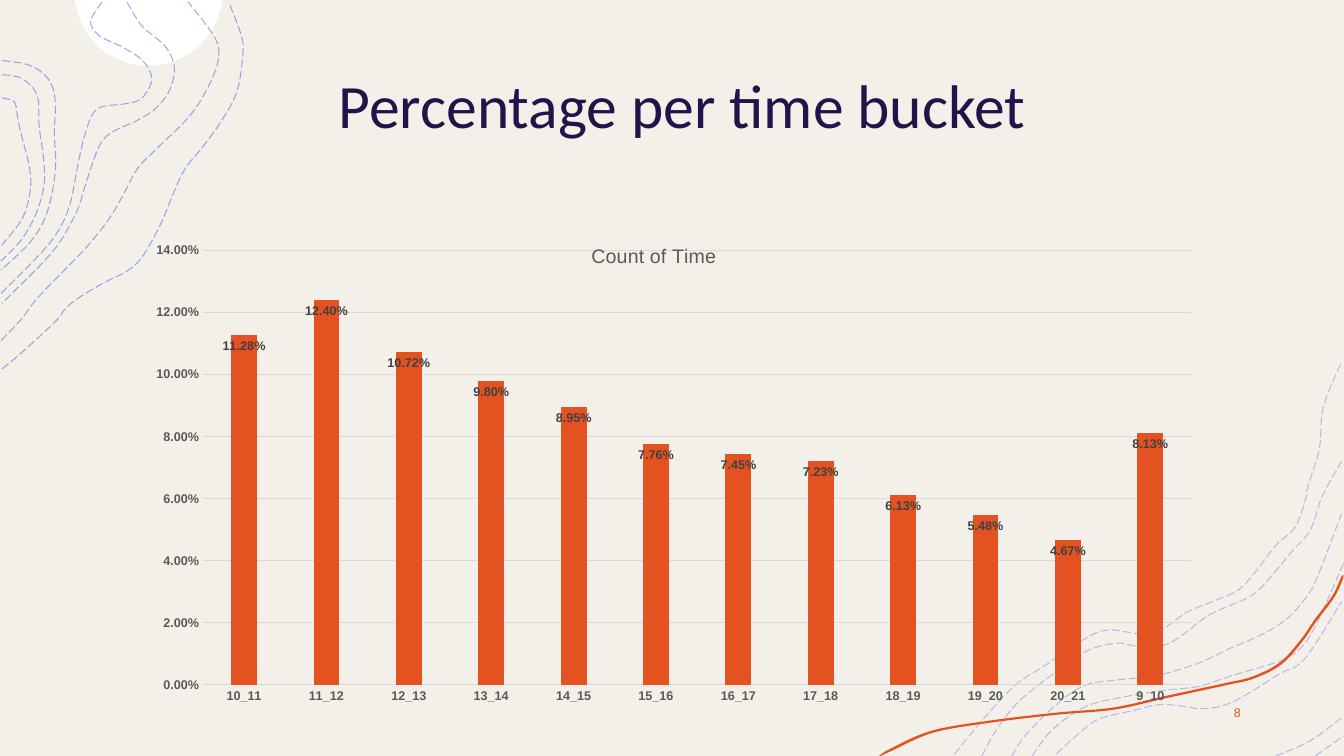
from math import cos, pi, sin

from lxml import etree
from pptx import Presentation
from pptx.chart.data import CategoryChartData
from pptx.dml.color import RGBColor
from pptx.enum.chart import XL_CHART_TYPE as ChartType
from pptx.enum.chart import XL_LABEL_POSITION as LabelPosition
from pptx.enum.chart import XL_TICK_MARK as TickMark
from pptx.enum.dml import MSO_LINE as Dash
from pptx.enum.text import MSO_ANCHOR as Anchor
from pptx.enum.text import MSO_AUTO_SIZE as AutoSize
from pptx.enum.text import PP_ALIGN as Align
from pptx.oxml.ns import qn
from pptx.util import Cm, Pt

COLORS = {
    "paper": "F3F0E9", "white": "FFFFFF", "contour": "4D4EE6",
    "orange": "E45221", "navy": "201449", "axis": "595959",
    "grid": "D9D9D9", "label": "404040", "black": "000000",
}
UNIT = Cm(0.0254)  # knots are given in hundredths of an inch

TOP_LEFT_CONTOURS = [
    [(2, 366), (19, 352), (55, 319), (66, 305), (85, 291), (110, 277), (126, 269),
     (141, 255), (159, 223), (181, 172), (201, 146), (219, 121),
     (235, 91), (241, 53), (239, 34), (227, 2)],
    [(1, 338), (21, 317), (37, 296), (63, 269), (87, 244), (107, 219), (121, 196),
     (136, 168), (154, 149), (182, 122), (197, 103), (211, 77), (217, 56),
     (213, 37), (187, 2)],
    [(126, 2), (141, 26), (164, 46), (173, 67), (168, 90), (154, 108),
     (135, 120), (115, 129), (103, 138), (95, 153), (83, 189),
     (77, 208), (60, 239), (42, 261), (15, 288), (2, 301)],
    [(1, 291), (35, 257), (56, 232), (69, 204), (77, 165), (83, 138), (91, 115),
     (101, 106), (124, 103), (140, 98), (150, 82), (148, 69), (138, 57),
     (120, 46), (98, 35), (90, 21), (101, 2)],
    [(2, 60), (27, 64), (43, 73), (52, 86), (55, 104), (54, 132), (55, 169),
     (47, 210), (31, 239), (1, 268)],
    [(2, 74), (22, 78), (37, 95), (39, 126), (43, 155), (44, 181), (37, 209),
     (22, 237), (1, 259)],
    [(2, 97), (14, 101), (17, 113), (20, 129), (29, 165), (30, 189),
     (22, 217), (2, 243)],
]
BOTTOM_RIGHT_CONTOURS = [
    [(947, 748), (976, 713), (1007, 680), (1037, 660), (1083, 630), (1103, 625),
     (1118, 627), (1142, 629), (1160, 620), (1178, 607), (1205, 596), (1229, 585),
     (1245, 568), (1266, 541), (1285, 523), (1296, 493), (1297, 485), (1309, 445),
     (1313, 404), (1331, 359)],
    [(974, 750), (990, 722), (1013, 694), (1054, 662), (1080, 645), (1108, 638),
     (1127, 641), (1151, 641), (1169, 633), (1200, 610), (1238, 593), (1255, 579),
     (1281, 548), (1300, 526), (1312, 492), (1331, 458)],
    [(1305, 750), (1333, 730)],
    [(1266, 750), (1300, 735), (1330, 713)],
    [(1048, 748), (1068, 730), (1089, 714), (1124, 705), (1151, 699), (1176, 701),
     (1193, 703), (1222, 697), (1269, 669), (1295, 653), (1331, 597)],
    [(1024, 750), (1044, 724), (1077, 701), (1112, 692), (1154, 685), (1189, 681),
     (1220, 671), (1257, 660), (1276, 653), (1293, 640), (1308, 615), (1333, 559)],
    [(1004, 750), (1017, 730), (1047, 700), (1076, 680), (1105, 675),
     (1148, 670), (1189, 658), (1221, 643), (1249, 631), (1273, 617), (1290, 600),
     (1305, 577), (1331, 510)],
]
RIBBON = [(872, 750), (883, 743), (924, 725), (981, 715), (1048, 707), (1104, 702),
          (1154, 691), (1214, 678), (1243, 671), (1270, 657), (1291, 634),
          (1304, 615), (1322, 591), (1331, 572)]
RIBBON_SHIFT = (1.5, 2)

SHARES = {
    "10_11": 0.1128, "11_12": 0.124, "12_13": 0.1072, "13_14": 0.098,
    "14_15": 0.0895, "15_16": 0.0776, "16_17": 0.0745, "17_18": 0.0723,
    "18_19": 0.0613, "19_20": 0.0548, "20_21": 0.0467, "9_10": 0.0813,
}


def rgb(key):
    return RGBColor.from_string(COLORS[key])


def set_font(font, color, **values):
    for name, value in values.items():
        setattr(font, name, value)
    font.color.rgb = rgb(color)


def round_corners(outline):
    """Turn the straight segments into Bézier curves through the same knots."""
    geometry = outline._element.spPr
    knots = [(int(pt.get("x")), int(pt.get("y"))) for pt in geometry.iter(qn("a:pt"))]
    padded = [knots[0], *knots, knots[-1]]
    segments = list(geometry.iter(qn("a:lnTo")))
    for segment, a, b, c, d in zip(segments, padded, padded[1:], padded[2:], padded[3:]):
        leave = [q + (r - p) / 6 for p, q, r in zip(a, b, c)]
        arrive = [r - (s - q) / 6 for q, r, s in zip(b, c, d)]
        curve = etree.Element(qn("a:cubicBezTo"))
        for x, y in (leave, arrive, c):
            etree.SubElement(curve, qn("a:pt"), x=str(round(x)), y=str(round(y)))
        segment.getparent().replace(segment, curve)


def draw_outline(slide, box, knots, fill=None):
    start, *rest = [(x * UNIT, y * UNIT) for x, y in knots]
    builder = slide.shapes.build_freeform(*start)
    builder.add_line_segments(rest, close=fill is not None)
    outline = builder.convert_to_shape(*box[:2])
    round_corners(outline)
    outline.shadow.inherit = False
    if fill:
        outline.fill.solid()
        outline.fill.fore_color.rgb = rgb(fill)
        outline.line.fill.background()
    else:
        outline.fill.background()
    return outline


def add_contours(slide, box, contours, opacity):
    for knots in contours:
        line = draw_outline(slide, box, knots).line
        line.color.rgb = rgb("contour")
        line.width = Pt(0.75)
        line.dash_style = Dash.LONG_DASH
        color = line._ln.find(".//" + qn("a:srgbClr"))
        etree.SubElement(color, qn("a:alpha"), val=str(opacity * 1000))


def add_top_left_art(slide, box):
    first = 0.12
    angles = [first + (pi - 2 * first) * step / 8 for step in range(9)]
    sun = [(147.5 + 74 * cos(angle), 74 * sin(angle) - 8.8) for angle in angles]
    draw_outline(slide, box, sun, "white")
    add_contours(slide, box, TOP_LEFT_CONTOURS, 50)


def add_bottom_right_art(slide, box):
    add_contours(slide, box, BOTTOM_RIGHT_CONTOURS, 35)
    dx, dy = RIBBON_SHIFT
    lower = [(x + dx, min(y + dy, 750)) for x, y in reversed(RIBBON)]
    draw_outline(slide, box, RIBBON + lower, "orange")


def fill_text(frame, text, align, color, **font):
    frame.word_wrap = True
    frame.auto_size = AutoSize.NONE
    frame.vertical_anchor = Anchor.TOP
    paragraph = frame.paragraphs[0]
    paragraph.alignment = align
    run = paragraph.add_run()
    run.text = text
    set_font(run.font, color, **font)


def add_heading(slide, box):
    heading = slide.shapes.title
    heading.left, heading.top, heading.width, heading.height = box
    fill_text(heading.text_frame, "Percentage per time bucket", Align.CENTER,
              "navy", name="Calibri", size=Pt(44))


def add_page_number(slide, box):
    fill_text(slide.shapes.add_textbox(*box).text_frame, "8", Align.RIGHT,
              "orange", name="Arial", size=Pt(9))


def set_plot_area(chart, **fractions):
    plot_area = chart._chartSpace.chart.plotArea
    for old in plot_area.findall(qn("c:layout")):
        plot_area.remove(old)
    layout = etree.Element(qn("c:layout"))
    manual = etree.SubElement(layout, qn("c:manualLayout"))
    settings = {"layoutTarget": "inner", "xMode": "edge", "yMode": "edge", **fractions}
    for tag, value in settings.items():
        etree.SubElement(manual, qn("c:" + tag), val=str(value))
    plot_area.insert(0, layout)


def add_share_chart(slide, box):
    data = CategoryChartData(number_format="0.00%")
    data.categories = list(SHARES)
    data.add_series("Count of Time", list(SHARES.values()))
    chart = slide.shapes.add_chart(ChartType.COLUMN_CLUSTERED, *box, data).chart
    set_font(chart.font, "black", name="Arial", size=Pt(10))
    chart.has_legend = False
    caption = chart.chart_title.text_frame.paragraphs[0].add_run()
    caption.text = "Count of Time"
    set_font(caption.font, "axis", name="Arial", size=Pt(14), bold=False)
    set_plot_area(chart, x=0.104, y=0.052, w=0.868, h=0.84)

    small_bold = {"name": "Arial", "size": Pt(9), "bold": True}
    shares, buckets = chart.value_axis, chart.category_axis
    for axis in (shares, buckets):
        axis.major_tick_mark = axis.minor_tick_mark = TickMark.NONE
        set_font(axis.tick_labels.font, "axis", **small_bold)
    shares.minimum_scale, shares.maximum_scale, shares.major_unit = 0, 0.14, 0.02
    shares.tick_labels.number_format = "0.00%"
    shares.tick_labels.number_format_is_linked = False
    shares.format.line.fill.background()
    for line in (buckets.format.line, shares.major_gridlines.format.line):
        line.color.rgb = rgb("grid")
        line.width = Pt(0.75)

    plot = chart.plots[0]
    plot.gap_width, plot.overlap, plot.vary_by_categories = 219, -27, False
    bars = plot.series[0]
    bars.format.fill.solid()
    bars.format.fill.fore_color.rgb = rgb("orange")
    labels = bars.data_labels
    for name, value in {"show_value": True, "position": LabelPosition.INSIDE_END,
                        "number_format": "0.00%",
                        "number_format_is_linked": False}.items():
        setattr(labels, name, value)
    set_font(labels.font, "label", **small_bold)


def main():
    deck = Presentation()
    deck.slide_width, deck.slide_height = Cm(33.87), Cm(19.05)
    slide = deck.slides.add_slide(deck.slide_layouts[5])
    slide.background.fill.solid()
    slide.background.fill.fore_color.rgb = rgb("paper")
    page = (0, 0, deck.slide_width, deck.slide_height)
    add_top_left_art(slide, page)
    add_bottom_right_art(slide, page)
    add_heading(slide, (Cm(3.33), Cm(1.55), Cm(27.74), Cm(1.83)))
    add_page_number(slide, (Cm(27.51), Cm(17.65), Cm(4.01), Cm(1.02)))
    add_share_chart(slide, (Cm(2.13), Cm(5.64), Cm(28.7), Cm(13.03)))
    deck.save("out.pptx")


if __name__ == "__main__":
    main()
